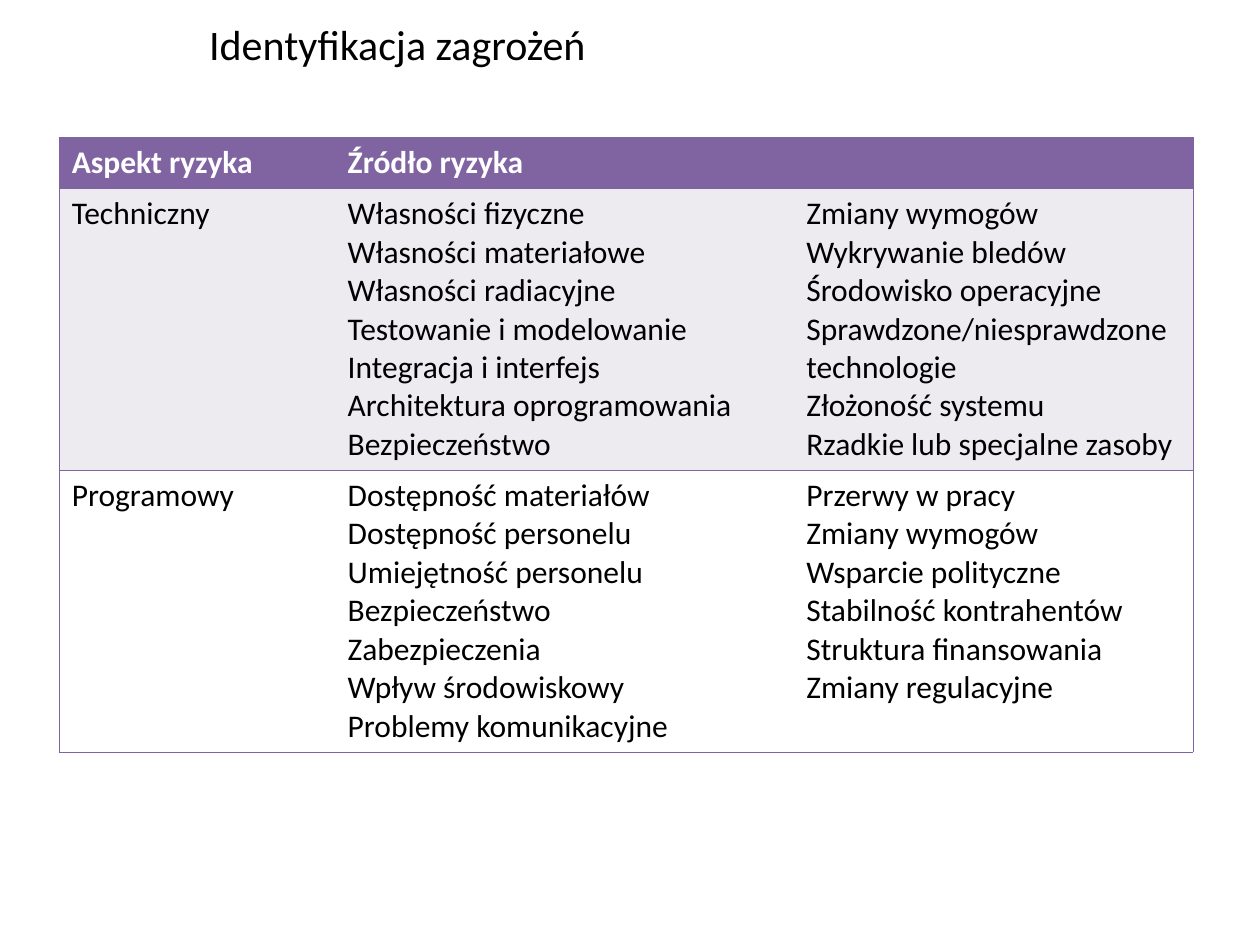
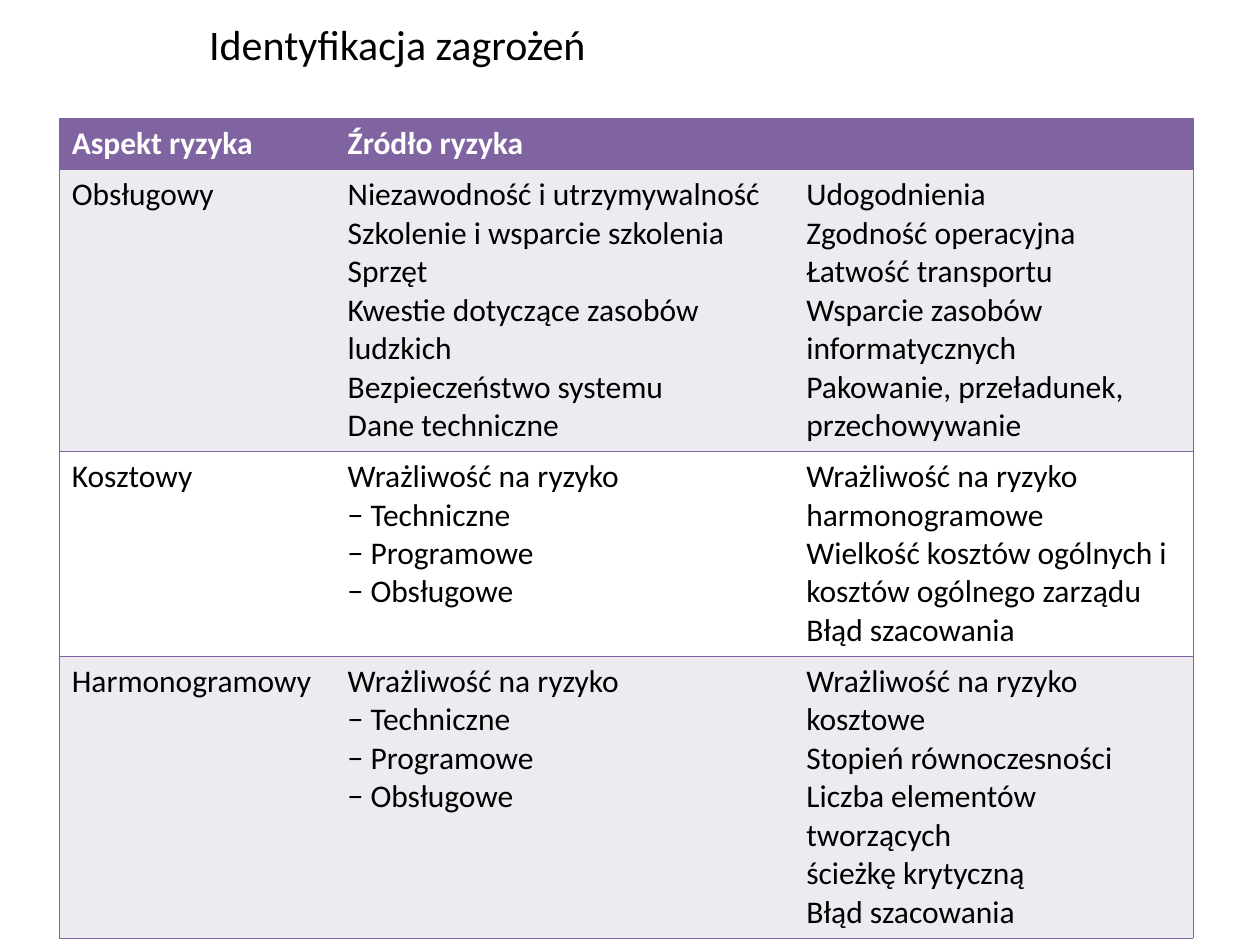
from lxml import etree
from pptx import Presentation
from pptx.dml.color import RGBColor
from pptx.enum.text import MSO_ANCHOR, PP_ALIGN
from pptx.oxml.ns import qn
from pptx.util import Inches, Pt

LEFT = PP_ALIGN.LEFT
MIDDLE = MSO_ANCHOR.MIDDLE

PURPLE = RGBColor(0x80, 0x64, 0xA2)
LILAC = RGBColor(0xED, 0xEA, 0xF0)
WHITE = RGBColor(0xFF, 0xFF, 0xFF)
BLACK = RGBColor(0x00, 0x00, 0x00)

FONT = "Calibri"
BORDER_WIDTH = Pt(0.45)
TITLE = "Identyfikacja zagrożeń"
TITLE_BOX = (Inches(1.56), Inches(0), Inches(7.91), Inches(0.7))
TITLE_ONLY_LAYOUT = 5
TABLE_LEFT = Inches(0.47)
COLUMN_WIDTHS = (Inches(2.19), Inches(3.64), Inches(3.17))
HEADER_HEIGHT = Inches(0.4)
HEADER = (["Aspekt ryzyka"], ["Źródło ryzyka"], [])

SENSITIVITY = ["Wrażliwość na ryzyko", "− Techniczne", "− Programowe", "− Obsługowe"]

TECHNICAL_AND_PROGRAMME = [
    (
        ["Techniczny"],
        ["Własności fizyczne", "Własności materiałowe", "Własności radiacyjne",
         "Testowanie i modelowanie", "Integracja i interfejs",
         "Architektura oprogramowania", "Bezpieczeństwo"],
        ["Zmiany wymogów", "Wykrywanie bledów", "Środowisko operacyjne",
         "Sprawdzone/niesprawdzone", "technologie", "Złożoność systemu",
         "Rzadkie lub specjalne zasoby"],
    ),
    (
        ["Programowy"],
        ["Dostępność materiałów", "Dostępność personelu", "Umiejętność personelu",
         "Bezpieczeństwo", "Zabezpieczenia", "Wpływ środowiskowy",
         "Problemy komunikacyjne"],
        ["Przerwy w pracy", "Zmiany wymogów", "Wsparcie polityczne",
         "Stabilność kontrahentów", "Struktura finansowania", "Zmiany regulacyjne"],
    ),
]

SUPPORT_COST_AND_SCHEDULE = [
    (
        ["Obsługowy"],
        ["Niezawodność i utrzymywalność", "Szkolenie i wsparcie szkolenia", "Sprzęt",
         "Kwestie dotyczące zasobów ludzkich", "Bezpieczeństwo systemu",
         "Dane techniczne"],
        ["Udogodnienia", "Zgodność operacyjna", "Łatwość transportu",
         "Wsparcie zasobów", "informatycznych", "Pakowanie, przeładunek,",
         "przechowywanie"],
    ),
    (
        ["Kosztowy"],
        SENSITIVITY,
        ["Wrażliwość na ryzyko", "harmonogramowe", "Wielkość kosztów ogólnych i",
         "kosztów ogólnego zarządu", "Błąd szacowania"],
    ),
    (
        ["Harmonogramowy"],
        SENSITIVITY,
        ["Wrażliwość na ryzyko", "kosztowe", "Stopień równoczesności",
         "Liczba elementów tworzących", "ścieżkę krytyczną", "Błąd szacowania"],
    ),
]


def style_text(text_frame, size, color, bold=False):
    """Left-align every paragraph and format its runs."""
    for paragraph in text_frame.paragraphs:
        paragraph.alignment = LEFT
        for run in paragraph.runs:
            run.font.name = FONT
            run.font.size = size
            run.font.bold = bold
            run.font.color.rgb = color


def set_borders(cell, column):
    """Draw horizontal rules and the outer sides, leaving inner sides open."""
    visible = {
        "a:lnL": column == 0,
        "a:lnR": column + cell.span_width == len(COLUMN_WIDTHS),
        "a:lnT": True,
        "a:lnB": True,
    }
    properties = cell._tc.get_or_add_tcPr()
    for side, shown in visible.items():
        line = etree.SubElement(properties, qn(side), w=str(int(BORDER_WIDTH)))
        if shown:
            fill = etree.SubElement(line, qn("a:solidFill"))
            etree.SubElement(fill, qn("a:srgbClr"), val=str(PURPLE))
        else:
            etree.SubElement(line, qn("a:noFill"))


def add_title(slide, box):
    """Place the slide title in its box."""
    title = slide.shapes.title
    title.left, title.top, title.width, title.height = box
    title.text_frame.text = TITLE
    title.text_frame.vertical_anchor = MIDDLE
    style_text(title.text_frame, Pt(24), BLACK)


def add_risk_table(slide, left, top, risks, risk_heights):
    """Build the table of risk aspects and their sources."""
    rows = [HEADER, *risks]
    heights = [HEADER_HEIGHT, *risk_heights]
    table = slide.shapes.add_table(
        len(rows), len(COLUMN_WIDTHS), left, top, sum(COLUMN_WIDTHS), sum(heights)
    ).table
    table.horz_banding = False
    for column, width in zip(table.columns, COLUMN_WIDTHS):
        column.width = width
    table.cell(0, 1).merge(table.cell(0, 2))
    for row_index, (entries, height) in enumerate(zip(rows, heights)):
        table.rows[row_index].height = height
        is_header = row_index == 0
        band = PURPLE if is_header else LILAC if row_index % 2 else WHITE
        for column_index, lines in enumerate(entries):
            cell = table.cell(row_index, column_index)
            cell.text_frame.text = "\n".join(lines)
            style_text(cell.text_frame, Pt(18), WHITE if is_header else BLACK, is_header)
            set_borders(cell, column_index)
            cell.fill.solid()
            cell.fill.fore_color.rgb = band


def add_risk_slide(presentation, table_top, risks, risk_heights):
    """Add one titled slide with a risk table."""
    layout = presentation.slide_layouts[TITLE_ONLY_LAYOUT]
    slide = presentation.slides.add_slide(layout)
    add_title(slide, TITLE_BOX)
    add_risk_table(slide, TABLE_LEFT, table_top, risks, risk_heights)


def main():
    """Build and save the presentation."""
    presentation = Presentation()
    presentation.slide_width = Inches(10)
    presentation.slide_height = Inches(7.5)
    tall, short = Inches(2.2), Inches(1.6)
    add_risk_slide(presentation, Inches(1.09), TECHNICAL_AND_PROGRAMME, (tall, tall))
    add_risk_slide(
        presentation, Inches(0.94), SUPPORT_COST_AND_SCHEDULE, (tall, short, tall)
    )
    presentation.save("out.pptx")


if __name__ == "__main__":
    main()
